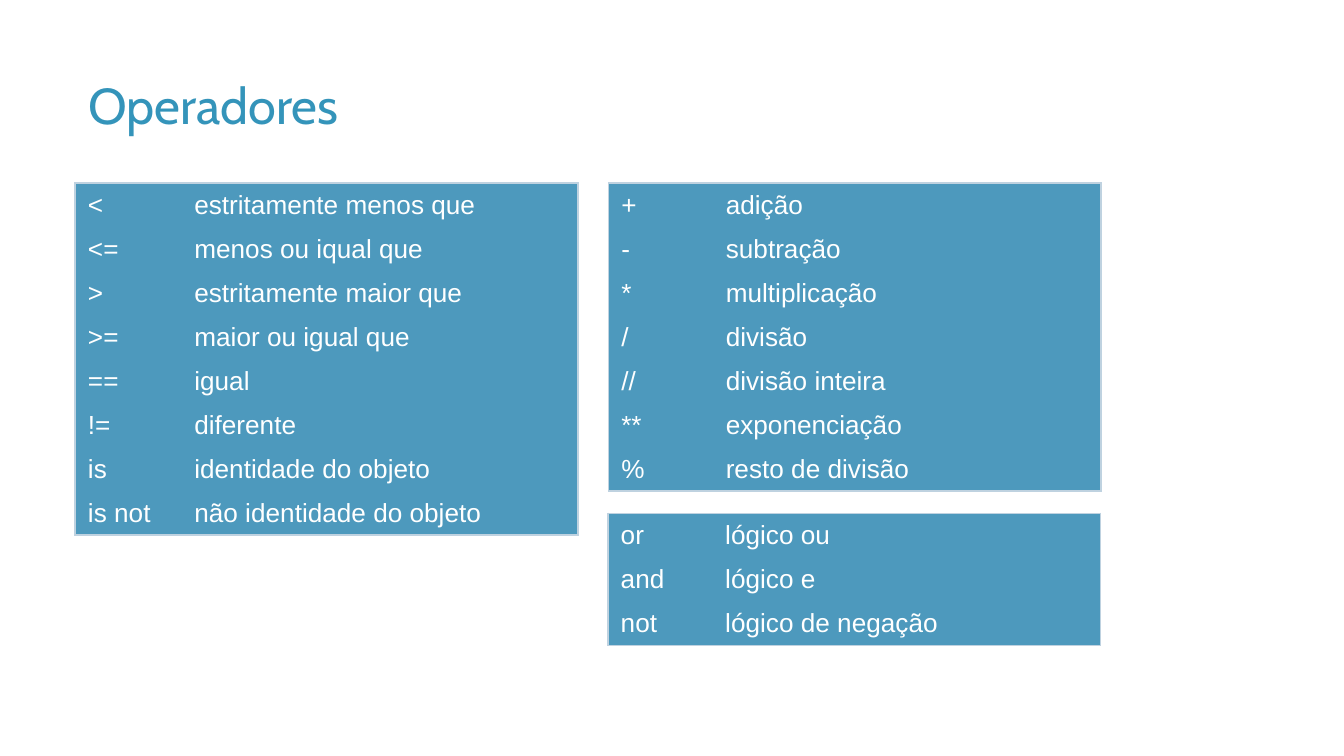
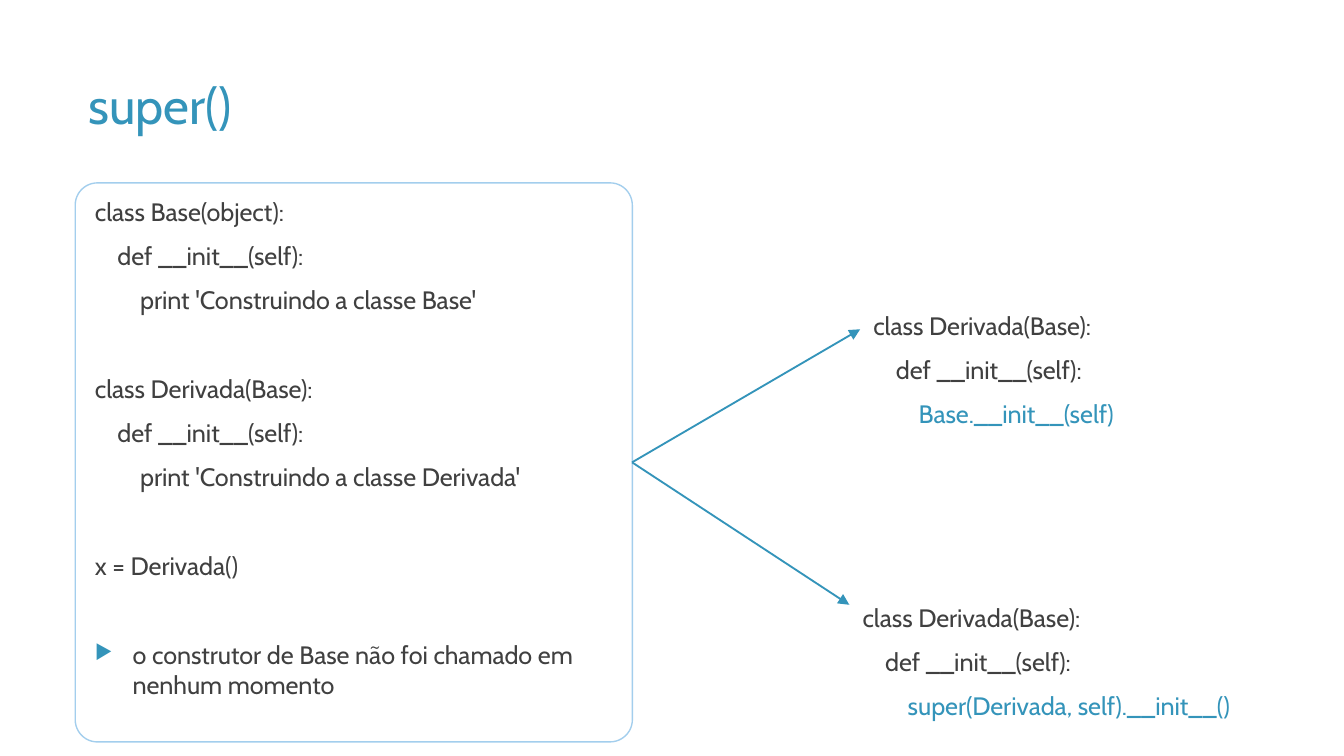
from lxml import etree
from pptx import Presentation
from pptx import util as u
from pptx.dml import color
from pptx.enum import shapes, text
from pptx.oxml import ns

Pt = u.Pt
BLUE, GREY, WHITE = "3494BA", "404040", "FFFFFF"
CELL, EDGE, FRAME = "4D99BD", "BFD2E0", "A3CEED"
LEFT, TOP = 40.3, 98
ROW = 23

COMPARE = [
    ("<", "estritamente menos que"),
    ("<=", "menos ou iqual que"),
    (">", "estritamente maior que"),
    (">=", "maior ou igual que"),
    ("==", "igual"),
    ("!=", "diferente"),
    ("is", "identidade do objeto"),
    ("is not", "não identidade do objeto"),
]
MATHS = [
    ("+", "adição"),
    ("-", "subtração"),
    ("*", "multiplicação"),
    ("/", "divisão"),
    ("//", "divisão inteira"),
    ("**", "exponenciação"),
    ("%", "resto de divisão"),
]
LOGIC = [("or", "lógico ou"), ("and", "lógico e"), ("not", "lógico de negação")]

HEAD = "class Derivada(Base):"
INIT = "    def __init__(self):"
BLOCKS = [
    ["class Base(object):", INIT, "        print 'Construindo a classe Base'"],
    [HEAD, INIT, "        print 'Construindo a classe Derivada'"],
    ["x = Derivada()"],
]
NOTE = "o construtor de Base não foi chamado em nenhum momento"


def rgb(code):
    return color.RGBColor.from_string(code)


def sub(node, tag, **attrs):
    return etree.SubElement(node, ns.qn(tag), attrs)


def add_run(para, words, size, tint, face="Cabin"):
    run = para.add_run()
    run.text = words
    run.font.size = Pt(size)
    run.font.name = face
    run.font.color.rgb = rgb(tint)


def add_line(frame, words, tint=GREY, gap=7.5):
    para = frame.paragraphs[0]
    if para.runs:
        para = frame.add_paragraph()
        para.space_before = Pt(gap)
    para.alignment = text.PP_ALIGN.LEFT
    add_run(para, words, 13.5, tint)
    return para


def add_box(slide, left, top, width, height):
    frame = slide.shapes.add_textbox(Pt(left), Pt(top), Pt(width), Pt(height)).text_frame
    frame.word_wrap = True
    return frame


def add_title(slide, words):
    frame = add_box(slide, LEFT, 36, 507.6, 77.8)
    add_run(frame.paragraphs[0], words, 27, BLUE)


def add_edge(cell, side, shown):
    line = sub(cell._tc.get_or_add_tcPr(), "a:ln" + side, w=str(Pt(1)))
    if shown:
        sub(sub(line, "a:solidFill"), "a:srgbClr", val=EDGE)
    else:
        sub(line, "a:noFill")


def add_grid(slide, left, top, widths, rows):
    last = len(rows) - 1
    table = slide.shapes.add_table(
        len(rows), 2, Pt(left), Pt(top), Pt(sum(widths)), Pt(ROW * len(rows))
    ).table
    table.first_row = table.horz_banding = False
    for col, width in zip(table.columns, widths):
        col.width = Pt(width)
    for i, row in enumerate(rows):
        table.rows[i].height = Pt(ROW)
        for j, words in enumerate(row):
            cell = table.cell(i, j)
            cell.margin_left = cell.margin_right = Pt(6.85)
            cell.margin_top = cell.margin_bottom = Pt(3.4)
            cell.vertical_anchor = text.MSO_ANCHOR.MIDDLE
            edges = {"L": j == 0, "R": j == 1, "T": i == 0, "B": i == last}
            for side, shown in edges.items():
                add_edge(cell, side, shown)
            cell.fill.solid()
            cell.fill.fore_color.rgb = rgb(CELL)
            add_run(cell.text_frame.paragraphs[0], words, 14, WHITE, "Arial")


def add_bullet(para):
    props = para._p.get_or_add_pPr()
    props.set("marL", str(Pt(20.2)))
    props.set("indent", str(-Pt(20.2)))
    sub(sub(props, "a:buClr"), "a:srgbClr", val=BLUE)
    sub(props, "a:buSzPct", val="80000")
    sub(props, "a:buChar", char="▶")


def add_panel(slide):
    panel = slide.shapes.add_shape(
        shapes.MSO_SHAPE.ROUNDED_RECTANGLE, Pt(LEFT), Pt(TOP), Pt(298.5), Pt(299.5)
    )
    panel.adjustments[0] = 0.04
    panel.shadow.inherit = False
    panel.fill.background()
    panel.line.color.rgb = rgb(FRAME)
    panel.line.width = Pt(0.75)
    frame = panel.text_frame
    frame.word_wrap = True
    frame.vertical_anchor = text.MSO_ANCHOR.TOP
    for block in BLOCKS:
        for k, words in enumerate(block):
            add_line(frame, words, gap=7.5 if k else 31.4)
    add_bullet(add_line(frame, NOTE, gap=31.4))


def add_code(slide, left, top, call):
    frame = add_box(slide, left, top, 259, 75)
    add_line(frame, HEAD)
    add_line(frame, INIT)
    add_line(frame, "        " + call, BLUE)


def add_arrow(slide, x, y):
    line = slide.shapes.add_connector(
        shapes.MSO_CONNECTOR.STRAIGHT, Pt(338.6), Pt(247.7), Pt(x), Pt(y)
    )
    line.line.color.rgb = rgb(BLUE)
    line.line.width = Pt(1)
    sub(line.line._get_or_add_ln(), "a:tailEnd", type="triangle")
    sub(line._element.spPr, "a:effectLst")


def main():
    deck = Presentation()
    deck.slide_width, deck.slide_height = Pt(720), Pt(405)
    blank = deck.slide_layouts[6]

    slide = deck.slides.add_slide(blank)
    add_title(slide, "Operadores")
    add_grid(slide, LEFT, TOP, (57, 212.4), COMPARE)
    add_grid(slide, 326, TOP, (56, 208), MATHS)
    add_grid(slide, 325.7, 275, (56, 208), LOGIC)

    slide = deck.slides.add_slide(blank)
    add_panel(slide)
    add_title(slide, "super()")
    add_code(slide, 460.8, 162.7, "Base.__init__(self)")
    add_arrow(slide, 460.8, 176.4)
    add_arrow(slide, 455, 324)
    add_code(slide, 455, 319, "super(Derivada, self).__init__()")

    deck.save("out.pptx")


if __name__ == "__main__":
    main()
